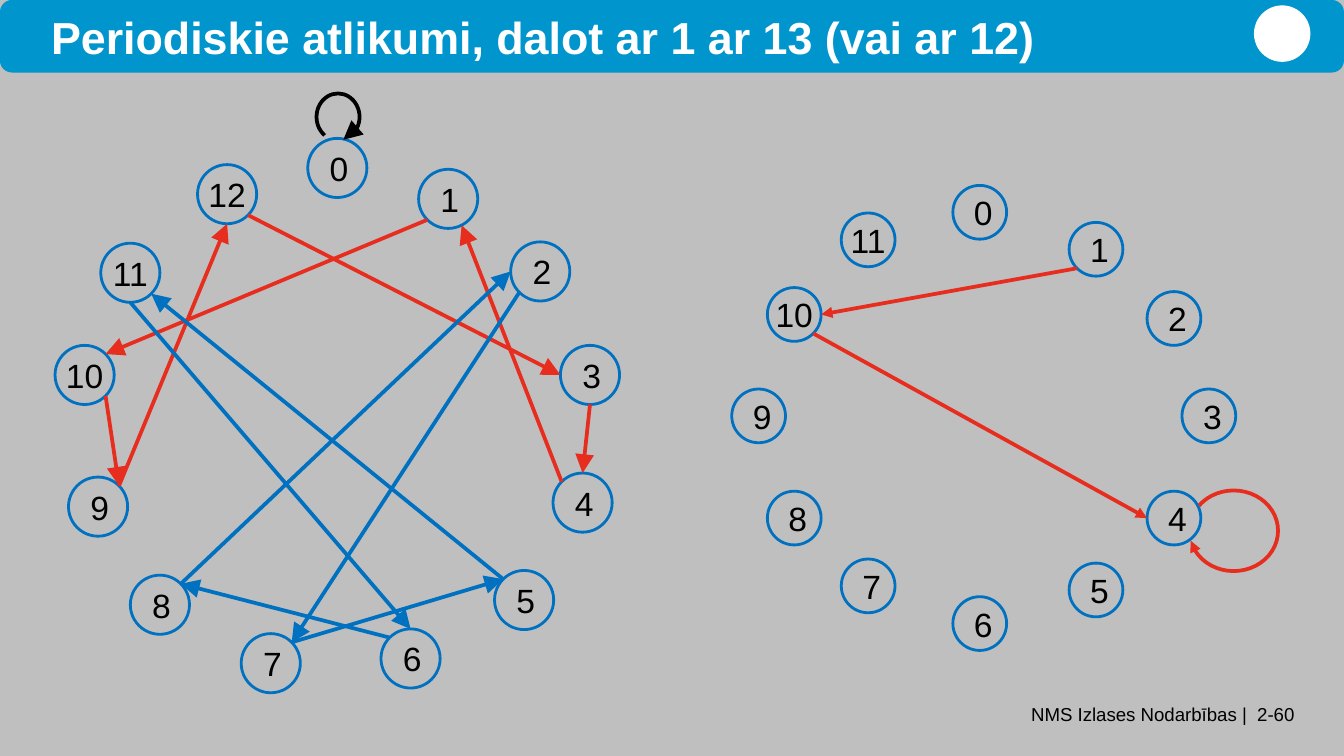
from math import cos, radians, sin

from lxml import etree
from pptx import Presentation
from pptx.dml.color import RGBColor
from pptx.enum.shapes import MSO_CONNECTOR, MSO_SHAPE
from pptx.enum.text import MSO_ANCHOR, PP_ALIGN
from pptx.oxml.ns import qn
from pptx.util import Inches, Pt

GREY = RGBColor(0xBF, 0xBF, 0xBF)
BANNER_BLUE = RGBColor(0x00, 0x95, 0xCD)
BLUE = RGBColor(0x00, 0x70, 0xC0)
RED = RGBColor(0xE6, 0x2D, 0x1E)
BLACK = RGBColor(0, 0, 0)
WHITE = RGBColor(0xFF, 0xFF, 0xFF)

OVAL, ARC, ROUNDED = MSO_SHAPE.OVAL, MSO_SHAPE.ARC, MSO_SHAPE.ROUNDED_RECTANGLE
STRAIGHT = MSO_CONNECTOR.STRAIGHT
LEFT, CENTER, RIGHT = PP_ALIGN.LEFT, PP_ALIGN.CENTER, PP_ALIGN.RIGHT
TOP, MIDDLE = MSO_ANCHOR.TOP, MSO_ANCHOR.MIDDLE

# The grid has 100 columns and 56.25 rows of equal square cells
CELL = Inches(0.1)
COLUMNS, ROWS = 100, 56.25

# Compass points on a circle, in degrees clockwise from the right
E, SE, S, SW, W, NW, N, NE = range(0, 360, 45)

# Circle centres as (column, row), listed by remainder
MOD_13 = [(25.1, 12.5), (33.35, 14.8), (40.2, 20.2), (43.9, 27.9), (43.35, 37.4),
          (39, 44.65), (30.55, 49), (20.15, 49.35), (11.9, 45), (7.3, 37.7),
          (6.3, 27.9), (9.7, 20.3), (16.9, 14.45)]
MOD_12 = [(72.9, 15.8), (81.55, 18.55), (87.35, 23.7), (89.95, 30.95),
          (87.35, 38.55), (81.55, 43.9), (72.9, 46.4), (64.6, 43.6),
          (59.1, 38.55), (56.45, 30.95), (59.1, 23.4), (64.6, 17.85)]

# Arrows as (from, leaving side, to, arriving side)
RED_13 = [(1, SW, 10, NE), (10, SE, 9, NE), (9, NE, 12, S), (12, SE, 3, W),
          (3, S, 4, N), (4, NW, 1, 63)]
BLUE_13 = [(2, SW, 7, NE), (7, NE, 5, NW), (5, NW, 11, SE), (11, S, 6, N),
           (6, NW, 8, NE), (8, NE, 2, W)]
RED_12 = [(1, SW, 10, E), (10, SE, 4, W)]


def grid(*cells):
    return [round(cell * CELL) for cell in cells]


def write(box, text, size=18, color=BLACK, bold=False, align=CENTER,
          anchor=MIDDLE, margins=(0, 0, 0, 0)):
    frame = box.text_frame
    frame.word_wrap = True
    frame.vertical_anchor = anchor
    (frame.margin_left, frame.margin_top,
     frame.margin_right, frame.margin_bottom) = grid(*margins)
    para = frame.paragraphs[0]
    para.alignment = align
    span = para.add_run()
    span.text = text
    span.font.name = "Arial"
    span.font.size = Pt(size)
    span.font.bold = bold
    span.font.color.rgb = color


class Painter:
    ring_width = 1.5
    arrow_width = 2

    def __init__(self, page):
        self.page = page
        page.background.fill.solid()
        page.background.fill.fore_color.rgb = GREY

    def shape(self, kind, area, fill=None, line=None, width=ring_width):
        shape = self.page.shapes.add_shape(kind, *grid(*area))
        shape.shadow.inherit = False
        if fill is None:
            shape.fill.background()
        else:
            shape.fill.solid()
            shape.fill.fore_color.rgb = fill
        if line is None:
            shape.line.fill.background()
        else:
            self.stroke(shape, line, width)
        return shape

    def text(self, text, area, **style):
        box = self.page.shapes.add_textbox(*grid(*area))
        write(box, text, **style)

    def stroke(self, item, color, width):
        item.line.color.rgb = color
        item.line.width = Pt(width)

    def arrowhead(self, item, head):
        outline = item._element.spPr.find(qn("a:ln"))
        etree.SubElement(outline, qn("a:tailEnd"), type="triangle", w=head, len=head)

    def ring(self, centres, radius):
        for number, (column, row) in enumerate(centres):
            area = (column - radius, row - radius, 2 * radius, 2 * radius)
            circle = self.shape(OVAL, area, line=BLUE)
            side = 1 if number < 10 else 0
            write(circle, str(number), margins=(side, 0.5, side, 0.5))

    def arrows(self, centres, radius, links, color, head):
        def rim(number, angle):
            column, row = centres[number]
            turn = radians(angle)
            return grid(column + radius * cos(turn), row + radius * sin(turn))

        for start, leaving, end, arriving in links:
            arrow = self.page.shapes.add_connector(
                STRAIGHT, *rim(start, leaving), *rim(end, arriving))
            self.stroke(arrow, color, self.arrow_width)
            self.arrowhead(arrow, head)
            etree.SubElement(arrow._element.spPr, qn("a:effectLst"))

    def loop(self, area, color, head, rotation=0):
        arc = self.shape(ARC, area, line=color, width=self.arrow_width)
        arc.adjustments[0] = 129.62
        arc.adjustments[1] = 100.08
        arc.rotation = rotation
        self.arrowhead(arc, head)


def main():
    deck = Presentation()
    deck.slide_width, deck.slide_height = grid(COLUMNS, ROWS)
    painter = Painter(deck.slides.add_slide(deck.slide_layouts[6]))

    # Footer, banner with a plain badge, and title
    painter.text("NMS Izlases Nodarbības |  2-60", (24.1, 52.3, 72.2, 3.3),
                 size=10, align=RIGHT, anchor=TOP)
    painter.shape(ROUNDED, (0, 0, COLUMNS, 5.4), fill=BANNER_BLUE)
    painter.shape(OVAL, (93.3, 0.4, 4.2, 4.2), fill=WHITE)
    painter.text("Periodiskie atlikumi, dalot ar 1 ar 13 (vai ar 12)",
                 (3.8, 0.7, 82.7, 4.2), size=24, color=WHITE, bold=True,
                 align=LEFT, anchor=TOP)

    # Remainders modulo 12
    painter.ring(MOD_12, 2)
    painter.arrows(MOD_12, 2, RED_12, RED, "med")
    painter.loop((88.5, 36.5, 6.6, 6), RED, "med")

    # Remainders modulo 13
    painter.ring(MOD_13, 2.2)
    painter.arrows(MOD_13, 2.2, RED_13, RED, "lg")
    painter.loop((23.4, 7.1, 3.5, 3.2), BLACK, "lg", rotation=270)
    painter.arrows(MOD_13, 2.2, BLUE_13, BLUE, "lg")

    deck.save("out.pptx")


if __name__ == "__main__":
    main()
